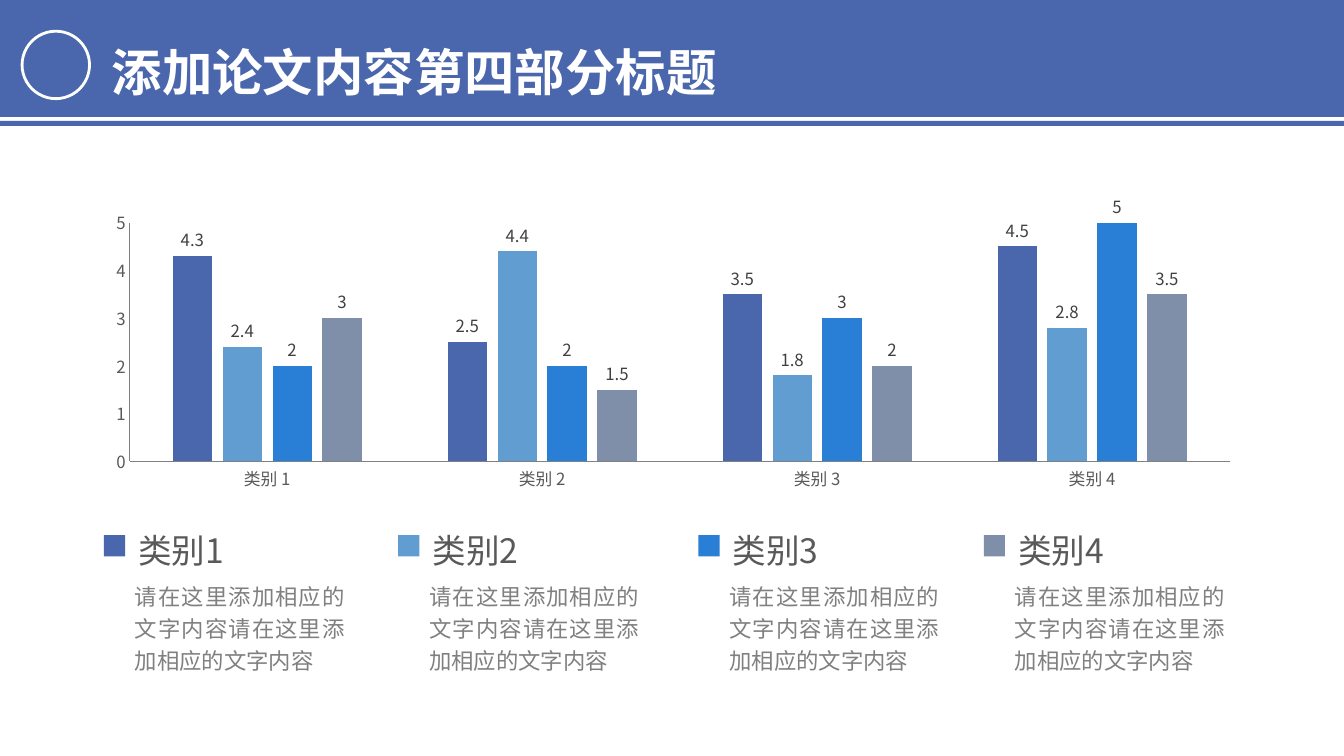
"""Build a slide with a title band, a clustered column chart and four captions."""
from lxml.etree import SubElement
from pptx import Presentation
from pptx.chart.data import CategoryChartData
from pptx.dml.color import RGBColor
from pptx.enum.chart import XL_CHART_TYPE as Kind, XL_LABEL_POSITION as Spot, XL_TICK_MARK as Tick
from pptx.enum.shapes import MSO_SHAPE as Form
from pptx.enum.text import MSO_ANCHOR as Anchor, MSO_AUTO_SIZE as Fit, PP_ALIGN as Align
from pptx.oxml.ns import qn
from pptx.util import Pt

FACE = "Noto Sans CJK SC"
BLUE, WHITE, GREY = "4A66AC", "FFFFFF", "808080"
DARK = "595959"
HUES = [BLUE, "629DD1", "297FD5", "7F8FA9"]


def style(font, size, hue, bold=False):
    font.size, font.bold = Pt(size), bold
    font.color.rgb = RGBColor.from_string(hue)
    font.name = FACE
    SubElement(font._element, qn("a:ea")).set("typeface", FACE)


def block(form, box, hue):
    shape = slide.shapes.add_shape(form, *map(Pt, box))
    shape.shadow.inherit = False
    shape.fill.solid()
    shape.fill.fore_color.rgb = RGBColor.from_string(hue)
    shape.line.fill.background()
    return shape


deck = Presentation()
deck.slide_width, deck.slide_height = Pt(960), Pt(540)
slide = deck.slides.add_slide(deck.slide_layouts[6])

block(Form.RECTANGLE, (0, 0, 960, 83.5), BLUE)
block(Form.RECTANGLE, (0, 86.4, 960, 3.6), BLUE)
ring = block(Form.OVAL, (15.8, 22.3, 48.2, 48.2), BLUE)
ring.line.color.rgb = RGBColor.from_string(WHITE)
ring.line.width = Pt(2)

title = slide.shapes.add_textbox(Pt(72.7), Pt(4.3), Pt(449.3), Pt(66.2)).text_frame
title.word_wrap, title.auto_size = True, Fit.SHAPE_TO_FIT_TEXT
title.text = "添加论文内容第四部分标题"
title.paragraphs[0].line_spacing = 1.5
style(title.paragraphs[0].font, 36, WHITE, True)

data = CategoryChartData()
data.categories = [f"类别 {n}" for n in range(1, 5)]
rows = [(4.3, 2.5, 3.5, 4.5), (2.4, 4.4, 1.8, 2.8), (2, 2, 3, 5), (3, 1.5, 2, 3.5)]
for n, row in enumerate(rows, 1):
    data.add_series(f"Series {n}", row)
chart = slide.shapes.add_chart(
    Kind.COLUMN_CLUSTERED, Pt(66.2), Pt(138.2), Pt(828.7), Pt(216), data).chart
chart.has_legend = chart.has_title = False
style(chart.font, 10, "000000")

for axis in (chart.category_axis, chart.value_axis):
    axis.has_major_gridlines = False
    axis.major_tick_mark = axis.minor_tick_mark = Tick.NONE
    axis.format.line.color.rgb = RGBColor.from_string(GREY)
    axis.format.line.width = Pt(0.75)
    style(axis.tick_labels.font, 12, DARK)
scale = chart.value_axis
scale.minimum_scale, scale.maximum_scale, scale.major_unit = 0, 5, 1

plot = chart.plots[0]
plot.gap_width, plot.overlap, plot.vary_by_categories = 219, -27, False
for bar, hue in zip(plot.series, HUES):
    bar.format.fill.solid()
    bar.format.fill.fore_color.rgb = RGBColor.from_string(hue)
    tags = bar.data_labels
    tags.show_value, tags.position = True, Spot.OUTSIDE_END
    style(tags.font, 12, "404040")

area = chart._chartSpace.chart.plotArea
for old in area.findall(qn("c:layout")):
    area.remove(old)
frame = SubElement(area, qn("c:layout"))
area.insert(0, frame)
inner = SubElement(frame, qn("c:manualLayout"))
for tag, value in [("layoutTarget", "inner"), ("xMode", "edge"), ("yMode", "edge"),
                   ("x", "0.032"), ("y", "0.094"), ("w", "0.948"), ("h", "0.792")]:
    SubElement(inner, qn(f"c:{tag}")).set("val", value)

spots = [(89.3, 303), (299.5, 303), (514, 303), (717.8, 105)]
for n, ((left, wide), hue) in enumerate(zip(spots, HUES), 1):
    block(Form.RECTANGLE, (left - 15.1, 382.3, 15.1, 15.1), hue)

    head = slide.shapes.add_textbox(Pt(left), Pt(365), Pt(wide), Pt(56.2)).text_frame
    head.word_wrap, head.vertical_anchor = True, Anchor.MIDDLE
    head.margin_left = head.margin_right = Pt(9.4)
    head.margin_top = head.margin_bottom = Pt(5)
    head.text = f"类别{n}"
    style(head.paragraphs[0].font, 24, DARK)

    body = slide.shapes.add_textbox(Pt(left), Pt(409), Pt(164.2), Pt(77)).text_frame
    body.word_wrap, body.auto_size = True, Fit.SHAPE_TO_FIT_TEXT
    body.text = "请在这里添加相应的文字内容" * 2
    para = body.paragraphs[0]
    para.alignment, para.line_spacing = Align.JUSTIFY, 1.2
    style(para.font, 16, GREY)

deck.save("out.pptx")
